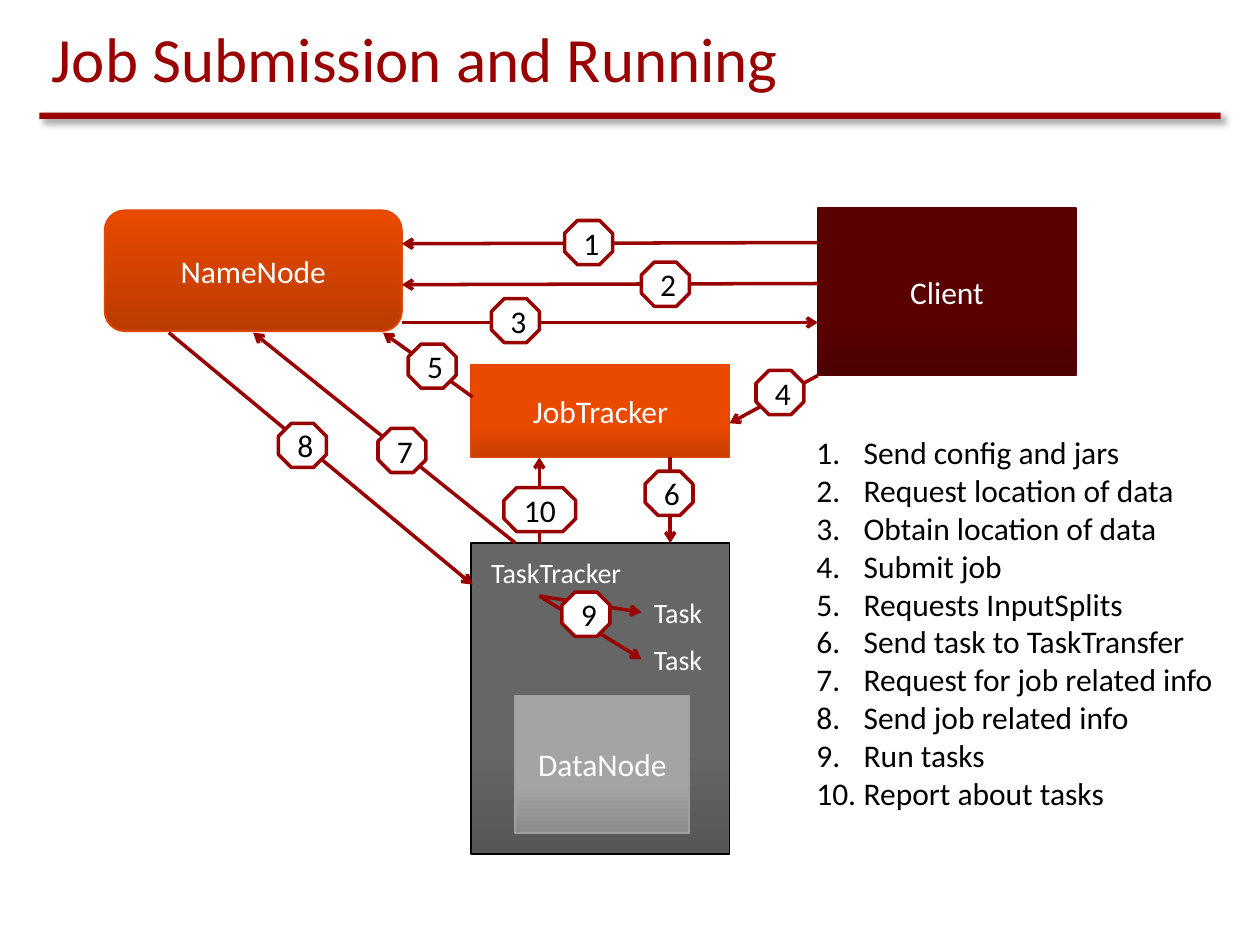
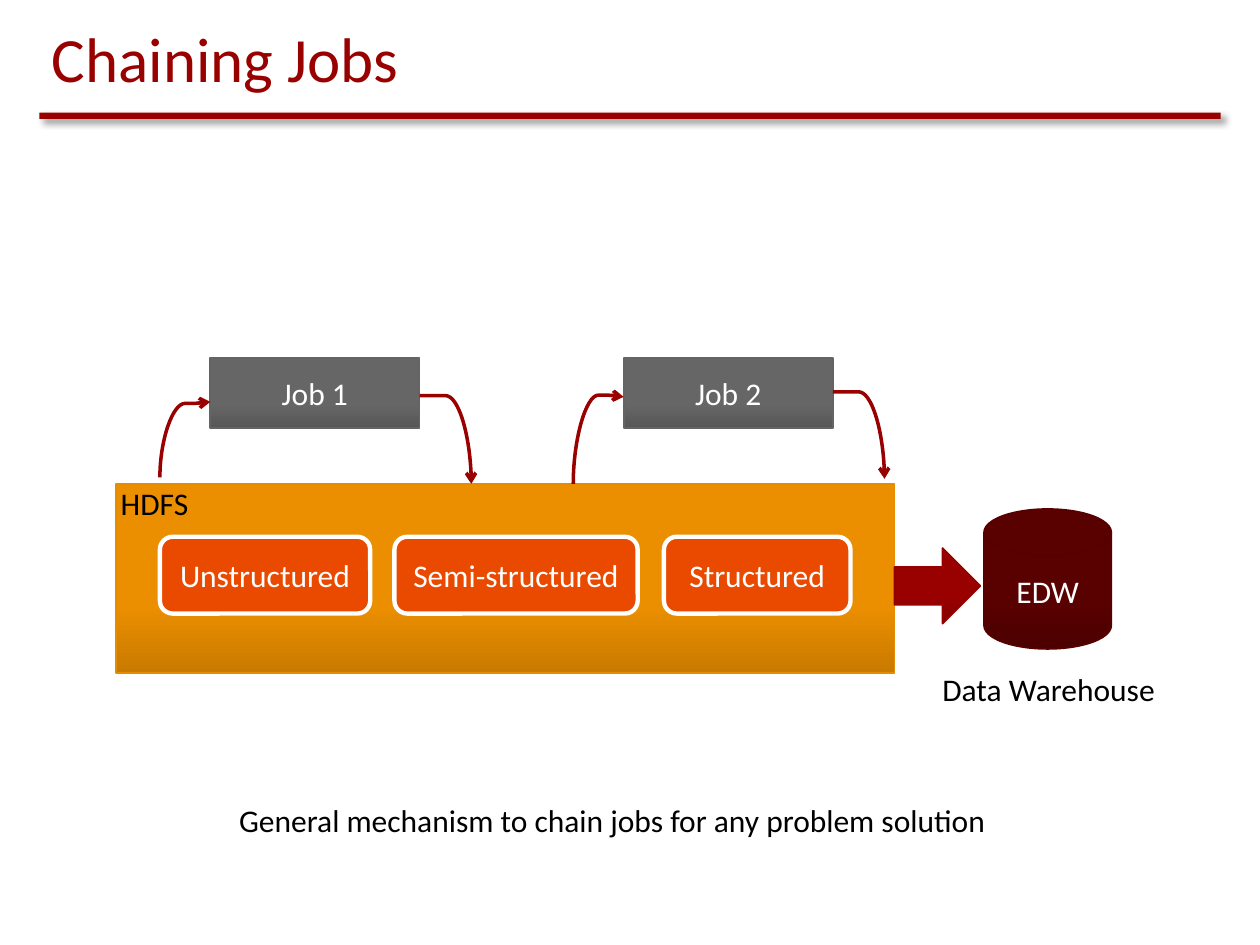
from lxml import etree
from pptx import Presentation
from pptx.dml.color import RGBColor
from pptx.enum import shapes, text
from pptx.oxml.ns import qn
from pptx.util import Pt

FONT = "Calibri"
RED, MAROON, ORANGE, AMBER = "990000", "590000", "E94A00", "EB8F00"
GREY, SILVER, WHITE, BLACK = "666666", "A4A4A4", "FFFFFF", "000000"
SHADES = {RED: "830000", MAROON: "4C0000", ORANGE: "C83F00",
          AMBER: "C97A00", GREY: "575757", SILVER: "8C8C8C"}
EDGES = {RED: "960000", MAROON: "570000", ORANGE: "E44800",
         AMBER: "E68C00", GREY: "646464", SILVER: "A0A0A0"}
SHAPE = shapes.MSO_SHAPE
BADGE_W, BADGE_H = 27.4, 25.2
STEPS = ["Send config and jars", "Request location of data", "Obtain location of data",
         "Submit job", "Requests InputSplits", "Send task to TaskTransfer",
         "Request for job related info", "Send job related info", "Run tasks",
         "Report about tasks"]


def rgb(value):
    """Turn a hex string into a colour."""
    return RGBColor.from_string(value)


def sub(parent, tag, **attrs):
    """Append an XML child with attributes."""
    el = etree.SubElement(parent, qn(tag))
    for name, value in attrs.items():
        el.set(name, str(value))
    return el


def style(tf, size, color, align=None):
    """Format every paragraph of a text frame."""
    for p in tf.paragraphs:
        p.alignment = align
        for r in p.runs:
            r.font.name, r.font.size = FONT, Pt(size)
            r.font.color.rgb = rgb(color)


def shape(s, kind, box, fill, line=None, width=1, label="", color=WHITE):
    """Add a solid preset shape with an optional outline and centred label."""
    sp = s.shapes.add_shape(kind, *map(Pt, box))
    sp.shadow.inherit = False
    sp.fill.solid()
    sp.fill.fore_color.rgb = rgb(fill)
    if line:
        sp.line.color.rgb = rgb(line)
        sp.line.width = Pt(width)
    else:
        sp.line.fill.background()
    if label:
        tf = sp.text_frame
        tf.text = label
        tf.vertical_anchor = text.MSO_ANCHOR.MIDDLE
        style(tf, 18, color, text.PP_ALIGN.CENTER)
    return sp


def shaded(s, kind, box, fill, label="", line=None, shade=None, stop=0.35):
    """Add a shape that darkens towards its lower edge."""
    sp = shape(s, kind, box, fill, line or EDGES[fill], label=label)
    sp.fill.gradient()
    sp.fill.gradient_angle = 90
    low, high = sp.fill.gradient_stops
    low.color.rgb, low.position = rgb(shade or SHADES[fill]), 0
    high.color.rgb, high.position = rgb(fill), stop
    return sp


def textbox(s, box, words, size=18, color=BLACK, wrap=False):
    """Add a text box that fits its text."""
    tf = s.shapes.add_textbox(*map(Pt, box)).text_frame
    tf.text = words
    tf.word_wrap = wrap
    tf.auto_size = text.MSO_AUTO_SIZE.SHAPE_TO_FIT_TEXT
    style(tf, size, color)
    return tf


def arrow(s, x1, y1, x2, y2, kind=shapes.MSO_CONNECTOR.STRAIGHT):
    """Add a red connector with an open arrowhead at its end."""
    c = s.shapes.add_connector(kind, Pt(x1), Pt(y1), Pt(x2), Pt(y2))
    c.line.color.rgb = rgb(RED)
    c.line.width = Pt(2)
    sub(c.line._get_or_add_ln(), "a:tailEnd", type="arrow")
    sub(c._element.spPr, "a:effectLst")
    return c


def curve(s, x1, y1, x2, y2, bend):
    """Add a curved arrow turned a quarter so that it can run upright."""
    rising = y2 < y1
    cx, cy = (x1 + x2) / 2, (y1 + y2) / 2
    dx, dy = abs(y2 - y1) / 2, abs(x2 - x1) / 2
    dy = dy if rising else -dy
    c = arrow(s, cx + dx, cy + dy, cx - dx, cy - dy, shapes.MSO_CONNECTOR.CURVE)
    pr = c._element.spPr
    pr.find(qn("a:xfrm")).set("rot", str((90 if rising else 270) * 60000))
    guides = pr.find(qn("a:prstGeom")).find(qn("a:avLst"))
    sub(guides, "a:gd", name="adj1", fmla=f"val {round(bend * 100000)}")


def badge(s, number, x, y, width=BADGE_W):
    """Add an octagon with a step number."""
    shape(s, SHAPE.OCTAGON, (x, y, width, BADGE_H), WHITE, RED, 2, str(number), BLACK)


def numbered(s, box, items):
    """Add an automatically numbered list."""
    tf = textbox(s, box, "\n".join(items), wrap=True)
    for p in tf.paragraphs:
        pr = p._p.get_or_add_pPr()
        pr.set("marL", str(Pt(27)))
        pr.set("indent", str(-Pt(27)))
        sub(pr, "a:buFont", typeface="+mj-lt")
        sub(pr, "a:buAutoNum", type="arabicPeriod")


def new_slide(prs, title):
    """Add a slide with the shared title and shadowed rule."""
    s = prs.slides.add_slide(prs.slide_layouts[6])
    rule = shape(s, SHAPE.RECTANGLE, (22.5, 64.3, 675, 3.6), RED)
    effects = rule._element.spPr.find(qn("a:effectLst"))
    shadow = sub(effects, "a:outerShdw", blurRad=Pt(4), dist=Pt(3),
                 dir=45 * 60000, algn="tl", rotWithShape=0)
    sub(sub(shadow, "a:srgbClr", val=BLACK), "a:alpha", val=43000)
    tf = textbox(s, (22.5, 10.1, 675, 48), title, 36, RED, wrap=True)
    tf.auto_size = text.MSO_AUTO_SIZE.NONE
    tf.vertical_anchor = text.MSO_ANCHOR.BOTTOM
    return s


def job_submission(prs):
    """Build the slide on how a job is submitted and run."""
    s = new_slide(prs, "Job Submission and Running")
    shaded(s, SHAPE.ROUNDED_RECTANGLE, (59.8, 120.2, 169.9, 69.1), ORANGE,
           "NameNode", shade="BB3B00", stop=1)
    shaded(s, SHAPE.RECTANGLE, (467.3, 118.8, 147.6, 95.8), MAROON, "Client")
    shaded(s, SHAPE.RECTANGLE, (269.3, 208.8, 147.6, 52.6), ORANGE, "JobTracker")
    shaded(s, SHAPE.RECTANGLE, (269.3, 310.3, 147.6, 177.8), GREY, line=BLACK)
    shaded(s, SHAPE.RECTANGLE, (294.5, 397.4, 99.4, 78.5), SILVER, "DataNode")
    numbered(s, (459.4, 244.1, 248.4, 225.4), STEPS)
    textbox(s, (273.6, 313.9, 92.9, 26.6), "TaskTracker", 16, WHITE)
    for y in (337, 363.6):
        textbox(s, (366.5, y, 43.9, 26.6), "Task", 16, WHITE)
    for ends in [(467.3, 138.6, 229.7, 139.3), (467.3, 162, 229.7, 162.7),
                 (229.7, 184.3, 467.3, 184.3), (467.3, 214.6, 416.9, 241.9),
                 (270, 226.8, 218.9, 190.1), (383, 261.4, 383, 310.3),
                 (294.5, 310.3, 144.7, 190.1), (96.5, 190.1, 270, 334.1),
                 (308.2, 340.6, 366.5, 349.9), (308.2, 340.6, 366.5, 376.6),
                 (308.2, 310.3, 308.2, 261.4)]:
        arrow(s, *ends)
    spots = [(322.6, 126), (366.5, 149.8), (280.8, 170.6), (432, 211.7), (233.3, 196.6),
             (368.6, 269.3), (216, 244.8), (159.1, 241.9), (321.1, 338.4), (288, 278.6, 41)]
    for number, spot in enumerate(spots, 1):
        badge(s, number, *spot)


def chaining_jobs(prs):
    """Build the slide on chaining jobs over shared storage."""
    s = new_slide(prs, "Chaining Jobs")
    shaded(s, SHAPE.RECTANGLE, (66.2, 276.5, 445, 108), AMBER)
    for label, x, width in [("Unstructured", 91.4, 120.2),
                            ("Semi-structured", 225.4, 139),
                            ("Structured", 379.4, 106.6)]:
        shape(s, SHAPE.ROUNDED_RECTANGLE, (x, 306.7, width, 43.9), ORANGE, WHITE, 2.5, label)
    textbox(s, (61.9, 272.9, 58.3, 28.8), "HDFS")
    for label, x in [("Job 1", 120.2), ("Job 2", 356.4)]:
        shaded(s, SHAPE.RECTANGLE, (x, 204.5, 119.5, 40.3), GREY, label)
    curve(s, 91.4, 272.9, 120.2, 229.7, 0.98)
    curve(s, 239.8, 226.1, 269.3, 276.5, 0)
    curve(s, 327.6, 276.5, 356.4, 226.8, 1.02)
    curve(s, 475.9, 223.9, 505.4, 273.6, 0)
    shaded(s, SHAPE.RIGHT_ARROW, (511.2, 313.2, 49, 43.2), RED)
    shaded(s, SHAPE.FLOWCHART_MAGNETIC_DISK, (562.3, 290.9, 72.7, 79.9), MAROON, "EDW")
    textbox(s, (531.4, 379.4, 137.5, 28.8), "Data Warehouse")
    textbox(s, (129.6, 454.3, 446.4, 28.8),
            "General mechanism to chain jobs for any problem solution")


def main():
    """Create and save the presentation."""
    prs = Presentation()
    prs.slide_width, prs.slide_height = Pt(720), Pt(540)
    job_submission(prs)
    chaining_jobs(prs)
    prs.save("out.pptx")


if __name__ == "__main__":
    main()
